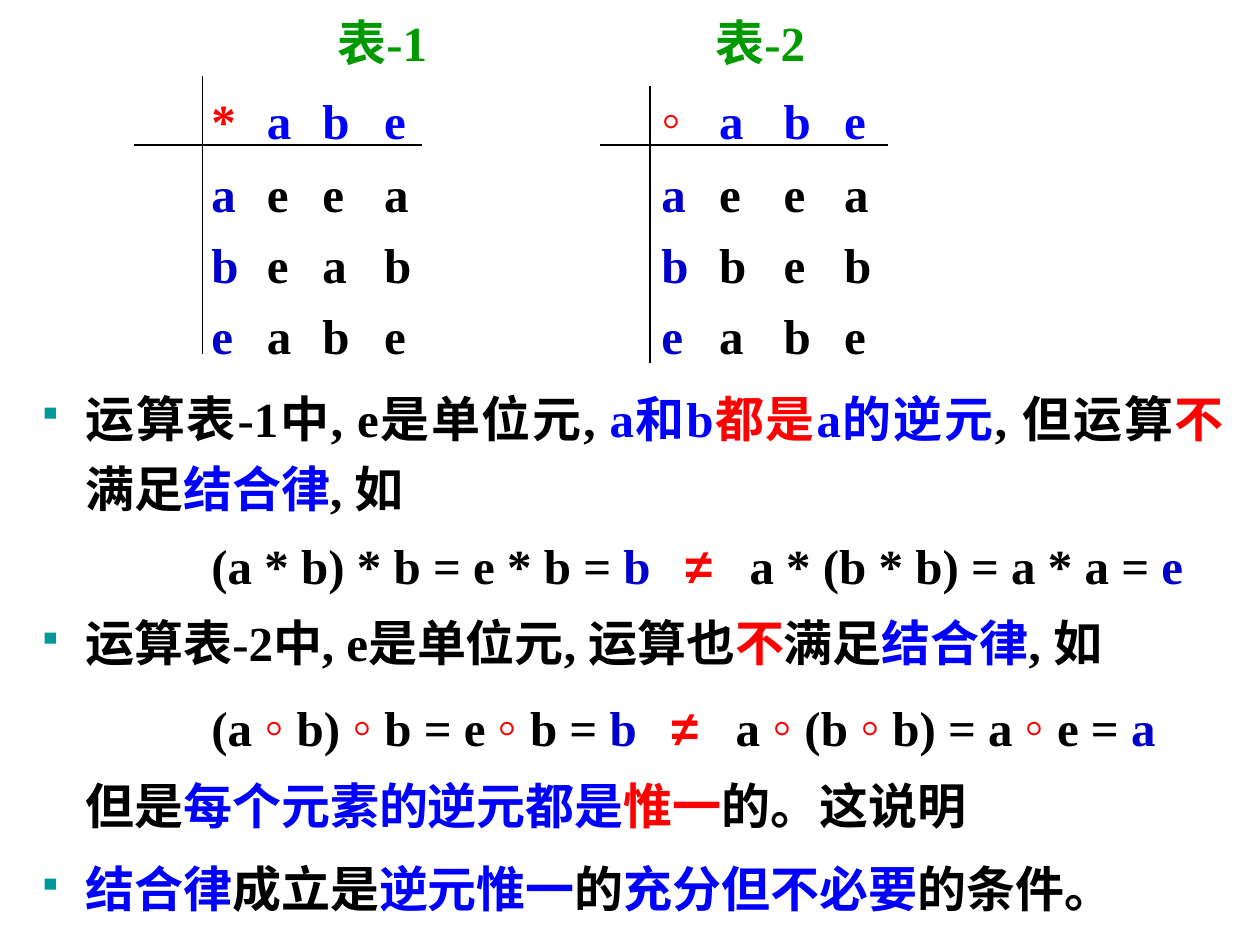
"""Build a slide comparing two operation tables and the uniqueness of inverses."""
from lxml.etree import SubElement
from pptx import Presentation
from pptx.dml.color import RGBColor
from pptx.enum.shapes import MSO_CONNECTOR
from pptx.enum.text import PP_ALIGN
from pptx.oxml.ns import qn
from pptx.util import Inches, Pt

theme = {
    "font": {"name": "Times New Roman", "size": Pt(28), "bold": True},
    "ring": {"size": Pt(32)},
    "sign": {"name": "Arial"},
    "line": {"width": Pt(0.75)},
    "color": {"black": "000000", "red": "FF0000", "ring": "FF0000", "sign": "FF0000",
              "blue": "0000FF", "deep": "0000CC", "green": "009900", "mark": "009999"},
}

deck = Presentation()
deck.slide_width, deck.slide_height = Inches(10), Inches(7.5)
slide = deck.slides.add_slide(deck.slide_layouts[6])
frame = slide.shapes.add_textbox(Inches(0.2), Inches(0.05), Inches(9.61), Inches(7.45)).text_frame
frame.word_wrap = True


def write(runs, lead=1.0, tabs=(), left=0, mark=False):
    para = frame.paragraphs[0] if not frame.paragraphs[0].runs else frame.add_paragraph()
    look = {"space_before": Pt(7), "line_spacing": lead,
            "alignment": PP_ALIGN.JUSTIFY if left else PP_ALIGN.LEFT}
    for key, value in look.items():
        setattr(para, key, value)
    props = para._p.get_or_add_pPr()
    if left:
        props.set("marL", str(Inches(left)))
        props.set("indent", str(Inches(-left if mark else 0)))
    if mark:
        tint = SubElement(props, qn("a:buClr"))
        SubElement(tint, qn("a:srgbClr"), val=theme["color"]["mark"])
        SubElement(props, qn("a:buSzPct"), val="70000")
        SubElement(props, qn("a:buChar"), char="▪")
    if tabs:
        stops = SubElement(props, qn("a:tabLst"))
        for stop in tabs:
            SubElement(stops, qn("a:tab"), pos=str(Inches(stop)), algn="l")
    for text, kind in runs:
        run = para.add_run()
        run.text = text
        for key, value in {**theme["font"], **theme.get(kind, {})}.items():
            setattr(run.font, key, value)
        run.font.color.rgb = RGBColor.from_string(theme["color"][kind])


write([("\t表-1\t表-2", "green")], tabs=(2.38, 5.38))

grid = (1.38, 1.82, 2.26, 2.75, 4.95, 5.41, 5.92, 6.4)
rows = [("*abe", "◦abe"), ("aeea", "aeea"), ("beab", "bbeb"), ("eabe", "eabe")]
for row in rows:
    runs = []
    for cells in row:
        head = {"*": "red", "◦": "ring"}.get(cells[0], "deep")
        body = "black" if head == "deep" else "blue"
        runs += [("\t" + cells[0], head), ("\t" + "\t".join(cells[1:]), body)]
    write(runs, tabs=grid)

write([("运算表-1中, e是单位元, ", "black"), ("a和b", "blue"), ("都是", "red"),
       ("a的逆元", "blue"), (", 但运算", "black"), ("不", "red"), ("满足", "black"),
       ("结合律", "blue"), (", 如", "black")], lead=1.2, left=0.38, mark=True)

write([("\t(a * b) * b = e * b = ", "black"), ("b", "deep"), ("\t≠", "sign"),
       ("\ta * (b * b) = a * a = ", "black"), ("e", "deep")],
      lead=1.1, tabs=(1.38, 5.14, 5.65))

write([("运算表-2中, e是单位元, 运算也", "black"), ("不", "red"), ("满足", "black"),
       ("结合律", "blue"), (", 如", "black")], lead=1.1, left=0.38, mark=True)

ring = ("◦", "ring")
write([("\t(a ", "black"), ring, (" b) ", "black"), ring, (" b = e ", "black"), ring,
       (" b = ", "black"), ("b", "deep"), ("\t≠", "sign"), ("\ta ", "black"), ring,
       (" (b ", "black"), ring, (" b) = a ", "black"), ring, (" e = ", "black"),
       ("a", "deep")], lead=1.1, tabs=(1.38, 5.03, 5.54))

write([("但是", "black"), ("每个元素的逆元都是", "blue"), ("惟一", "red"),
       ("的。这说明", "black")], lead=1.1, left=0.38)

write([("结合律", "blue"), ("成立是", "black"), ("逆元惟一", "blue"), ("的", "black"),
       ("充分但不必要", "blue"), ("的条件。", "black")], lead=1.2, left=0.38, mark=True)

rules = [(1.06, 1.15, 3.35, 1.15), (4.76, 1.15, 7.05, 1.15),
         (1.61, 0.6, 1.61, 2.81), (5.16, 0.68, 5.16, 2.88)]
for ends in rules:
    rule = slide.shapes.add_connector(MSO_CONNECTOR.STRAIGHT, *map(Inches, ends))
    for key, value in theme["line"].items():
        setattr(rule.line, key, value)
    rule.line.color.rgb = RGBColor.from_string(theme["color"]["black"])
    SubElement(rule._element.spPr, qn("a:effectLst"))

deck.save("out.pptx")
